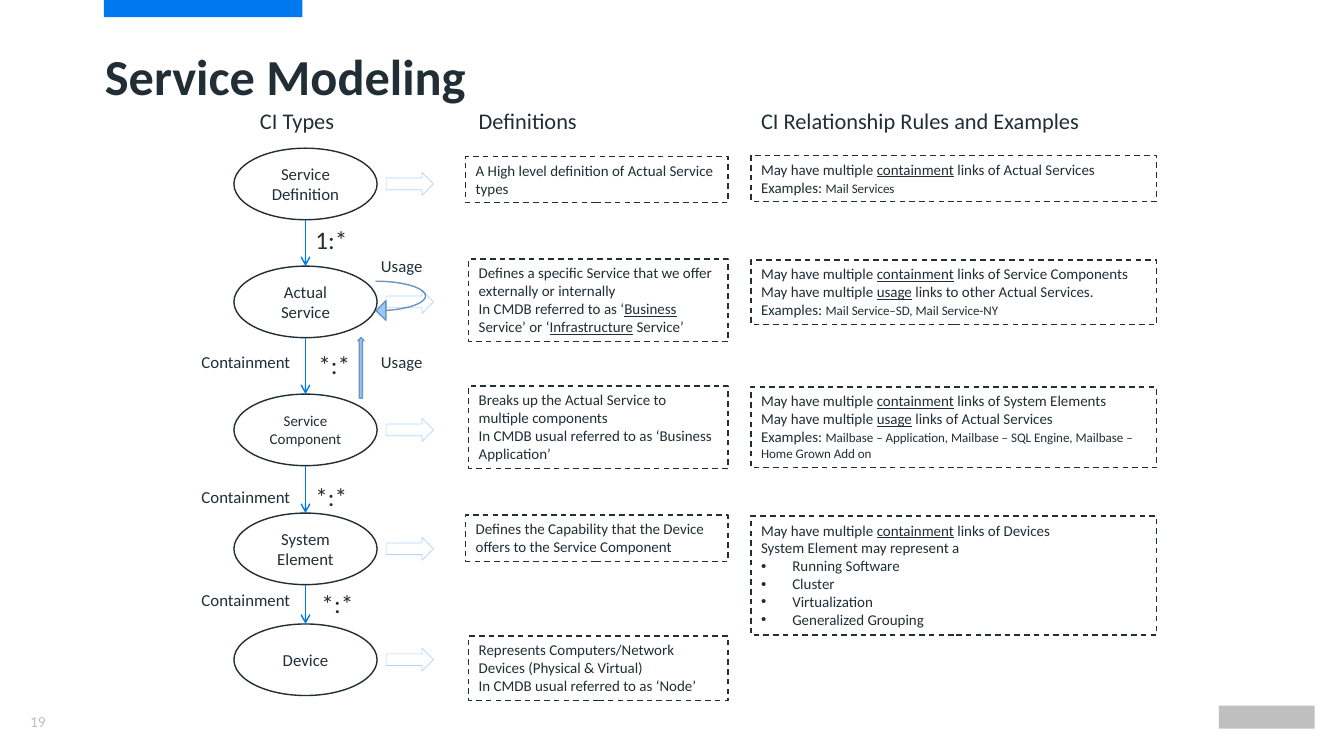
from lxml import etree
from pptx import Presentation
from pptx.dml.color import RGBColor
from pptx.enum.dml import MSO_LINE
from pptx.enum.shapes import MSO_CONNECTOR, MSO_SHAPE
from pptx.enum.text import MSO_ANCHOR, MSO_AUTO_SIZE, PP_ALIGN
from pptx.oxml.ns import qn
from pptx.util import Inches, Pt

RECT, OVAL = MSO_SHAPE.RECTANGLE, MSO_SHAPE.OVAL
RIGHT_ARROW, UP_ARROW = MSO_SHAPE.RIGHT_ARROW, MSO_SHAPE.UP_ARROW
CURVED_ARROW = MSO_SHAPE.CURVED_LEFT_ARROW
STRAIGHT, DASH = MSO_CONNECTOR.STRAIGHT, MSO_LINE.DASH
TOP, MIDDLE = MSO_ANCHOR.TOP, MSO_ANCHOR.MIDDLE
LEFT, CENTER = PP_ALIGN.LEFT, PP_ALIGN.CENTER
FIT, NO_FIT = MSO_AUTO_SIZE.SHAPE_TO_FIT_TEXT, MSO_AUTO_SIZE.NONE

INK, BLUE, WHITE, GREY = "212E35", "0079EF", "FFFFFF", "BFBFBF"
PALE, STEEL, ARROW_BLUE = "97CBFF", "7096BD", "0076EA"
BODY, SMALL = 10.7, 9.3


def rgb(value):
    return RGBColor.from_string(value)


def set_all(target, values):
    for name, value in values.items():
        setattr(target, name, value)


class ServiceSlide:
    font = "Calibri"

    def __init__(self, deck):
        self.slide = deck.slides.add_slide(deck.slide_layouts[5])
        self.shapes = self.slide.shapes

    def add_words(self, paragraph, text, size, color=INK, **extra):
        run = paragraph.add_run()
        run.text = text
        set_all(run.font, {"name": self.font, "size": Pt(size), **extra})
        run.font.color.rgb = rgb(color)

    def bullet(self, paragraph):
        props = paragraph._p.get_or_add_pPr()
        props.set("marL", str(Inches(0.31)))
        props.set("indent", str(-Inches(0.31)))
        etree.SubElement(props, qn("a:buFont"), typeface="Arial")
        etree.SubElement(props, qn("a:buChar"), char="•")

    def add_lines(self, shape, lines, size, color=INK, align=LEFT, **frame_values):
        """Each line: _underlined_ words, |small ending, * for a bullet."""
        frame = shape.text_frame
        set_all(frame, {"word_wrap": True, "vertical_anchor": TOP, **frame_values})
        for number, line in enumerate(lines):
            paragraph = frame.add_paragraph() if number else frame.paragraphs[0]
            if line.startswith("* "):
                self.bullet(paragraph)
                line = line[2:]
            paragraph.alignment = align
            normal, _, small = line.partition("|")
            for index, part in enumerate(normal.split("_")):
                if part:
                    self.add_words(paragraph, part, size, color, underline=index % 2 == 1)
            if small:
                self.add_words(paragraph, small, SMALL, color)

    def shape(self, kind, box, fill=None, line=None, width=1, dash=None):
        shape = self.shapes.add_shape(kind, *map(Inches, box))
        shape.shadow.inherit = False
        if fill:
            shape.fill.solid()
            shape.fill.fore_color.rgb = rgb(fill)
        else:
            shape.fill.background()
        if line:
            shape.line.color.rgb = rgb(line)
            set_all(shape.line, {"width": Pt(width), "dash_style": dash})
        else:
            shape.line.fill.background()
        return shape

    def ci_type(self, top, text, size):
        oval = self.shape(OVAL, (2.32, top, 1.42, 0.71), WHITE, INK)
        self.add_lines(oval, [text], size, align=CENTER, vertical_anchor=MIDDLE)
        return oval

    def faint_arrow(self, top):
        arrow = self.shape(RIGHT_ARROW, (3.83, top, 0.47, 0.23), line=ARROW_BLUE, width=0.5)
        color = arrow._element.spPr.find(qn("a:ln")).find(".//" + qn("a:srgbClr"))
        etree.SubElement(color, qn("a:alpha"), val="30000")

    def link(self, upper, lower):
        middle = upper.left + upper.width // 2
        link = self.shapes.add_connector(
            STRAIGHT, middle, upper.top + upper.height, middle, lower.top)
        link.end_connect(lower, 0)
        link.line.color.rgb = rgb(BLUE)
        link.line.width = Pt(1)
        properties = link._element.spPr
        etree.SubElement(properties.find(qn("a:ln")), qn("a:tailEnd"), type="arrow")
        etree.SubElement(properties, qn("a:effectLst"))

    def label(self, box, text, size=12, color=INK, **frame_values):
        label = self.shapes.add_textbox(*map(Inches, box))
        self.add_lines(label, [text], size, color, word_wrap=False, **frame_values)

    def note(self, box, lines):
        note = self.shape(RECT, box, WHITE, INK, dash=DASH)
        self.add_lines(note, lines, BODY, auto_size=FIT)

    def heading(self, left, width, text):
        heading = self.shape(RECT, (left, 1.01, width, 0.37), WHITE)
        self.add_lines(heading, [text], 16, auto_size=FIT)

    def title(self, text):
        title = self.shapes.title
        set_all(title, {"left": Inches(1.04), "top": Inches(0.47),
                        "width": Inches(11.28), "height": Inches(1.18)})
        set_all(title.text_frame, {
            "margin_left": 0, "margin_right": Inches(0.1), "margin_top": Inches(0.05),
            "margin_bottom": Inches(0.05), "word_wrap": True,
            "vertical_anchor": TOP, "auto_size": NO_FIT})
        paragraph = title.text_frame.paragraphs[0]
        set_all(paragraph, {"alignment": LEFT, "line_spacing": 0.9})
        self.add_words(paragraph, text, 36, bold=True)
        self.shapes._spTree.append(title._element)  # in front of the headings


CI_TYPES = [
    (1.47, "Service Definition", 12),
    (2.64, "Actual Service", 12),
    (3.91, "Service Component", BODY),
    (5.09, "System Element", 12),
    (6.19, "Device", 12),
]
CARDINALITIES = [(3.03, 2.18, "1:*"), (3.06, 3.42, "*:*"),
                 (3.03, 4.73, "*:*"), (3.09, 5.79, "*:*")]
DEFINITIONS = [
    ((4.62, 1.55, 2.6, 0.46), ["A High level definition of Actual Service types"]),
    ((4.65, 2.57, 2.57, 0.82), [
        "Defines a specific Service that we offer externally or internally",
        "In CMDB referred to as ‘_Business_ Service’ or ‘_Infrastructure_ Service’"]),
    ((4.65, 3.83, 2.57, 0.82), [
        "Breaks up the Actual Service to multiple components",
        "In CMDB usual referred to as ‘Business Application’"]),
    ((4.62, 5.11, 2.6, 0.46), [
        "Defines the Capability that the Device offers to the Service Component"]),
    ((4.65, 6.31, 2.57, 0.64), [
        "Represents Computers/Network Devices (Physical & Virtual)",
        "In CMDB usual referred to as ‘Node’"]),
]
RULES = [
    (1.54, 0.46, ["May have multiple _containment_ links of Actual Services",
                  "Examples: |Mail Services"]),
    (2.58, 0.64, ["May have multiple _containment_ links of Service Components",
                  "May have multiple _usage_ links to other Actual Services.",
                  "Examples: |Mail Service–SD, Mail Service-NY"]),
    (3.84, 0.8, ["May have multiple _containment_ links of System Elements",
                 "May have multiple _usage_ links of Actual Services",
                 "Examples: |Mailbase – Application, Mailbase – SQL Engine, "
                 "Mailbase – Home Grown Add on"]),
    (5.12, 1.18, ["May have multiple _containment_ links of Devices",
                  "System Element may represent a", "* Running Software",
                  "* Cluster", "* Virtualization", "* Generalized Grouping"]),
]


def main():
    deck = Presentation()
    set_all(deck, {"slide_width": Inches(13.33), "slide_height": Inches(7.5)})
    page = ServiceSlide(deck)

    # Page frame
    page.shape(RECT, (1.03, 0, 1.97, 0.17), BLUE)
    page.shape(RECT, (12.09, 7, 0.95, 0.23), GREY)
    page.label((0.2, 7.01, 0.4, 0.3), "19", 11, GREY, vertical_anchor=MIDDLE)

    # Usage arrows
    loop = page.shape(CURVED_ARROW, (3.73, 2.79, 0.49, 0.39), PALE, STEEL)
    for index, value in enumerate((0, 0.5, 0.25)):
        loop.adjustments[index] = value
    page.shape(UP_ARROW, (3.55, 3.35, 0.06, 0.6), PALE, STEEL)

    # Chain of CI types
    chain = [page.ci_type(*ci_type) for ci_type in CI_TYPES]
    for upper, lower in zip(chain, chain[1:]):
        page.link(upper, lower)
    for top, _, _ in CI_TYPES:
        page.faint_arrow(top + 0.24)

    # Link labels
    for left, top, text in CARDINALITIES:
        page.label((left, top, 0.52, 0.4), text, 18)
    for top in (3.44, 4.78, 5.8):
        page.label((1.9, top, 1.09, 0.3), "Containment")
    for top in (2.49, 3.44):
        page.label((3.68, top, 0.62, 0.3), "Usage")

    # Definitions and rules
    for box, lines in DEFINITIONS:
        page.note(box, lines)
    for top, height, lines in RULES:
        page.note((7.45, top, 4.02, height), lines)

    # Headings and title
    page.heading(2.48, 1.35, "CI Types")
    page.heading(4.65, 2.57, "Definitions")
    page.heading(7.45, 4.02, "CI Relationship Rules and Examples")
    page.title("Service Modeling")

    deck.save("out.pptx")


if __name__ == "__main__":
    main()
